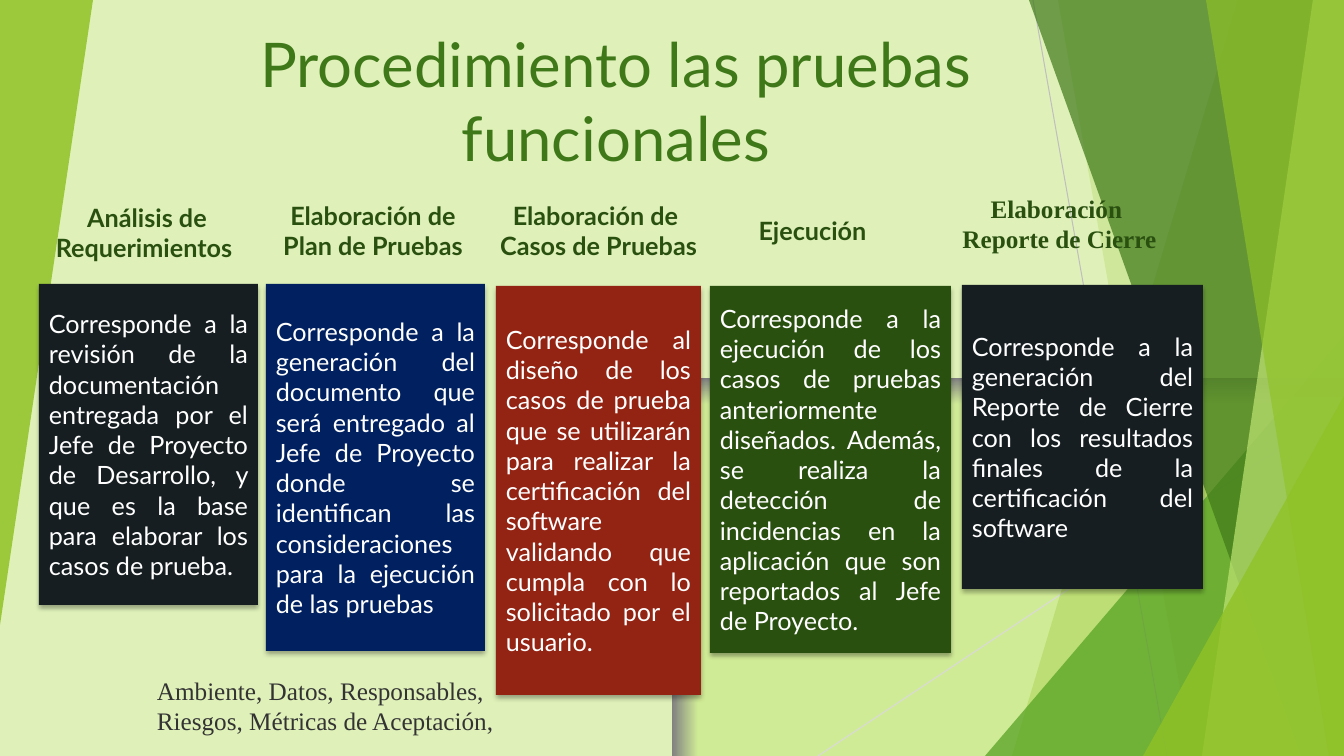
from lxml import etree
from pptx import Presentation
from pptx import util as u
from pptx.dml import color as dml
from pptx.enum import shapes, text
from pptx.oxml import ns

SLIDE_W, SLIDE_H = 1344, 756
EMU_PER_PX = 12192000 / SLIDE_W
LATO, TIMES = "Lato", "Times New Roman"
LIME, LEAF, FOREST, MOSS, MINT = "90C226", "54A021", "3F7819", "2A5010", "C0E474"

CARDS = [
    ((39, 284, 219, 321), "161E22",
     "Corresponde a la revisión de la documentación entregada por el Jefe de Proyecto "
     "de Desarrollo, y que es la base para elaborar los casos de prueba."),
    ((266, 284, 219, 367), "002060",
     "Corresponde a la generación del documento que será entregado al Jefe de Proyecto "
     "donde se identifican las consideraciones para la ejecución de las pruebas"),
    ((496, 286, 205, 409), "932313",
     "Corresponde al diseño de los casos de prueba que se utilizarán para realizar la "
     "certificación del software validando que cumpla con lo solicitado por el usuario."),
    ((710, 286, 241, 367), MOSS,
     "Corresponde a la ejecución de los casos de pruebas anteriormente diseñados. Además, "
     "se realiza la detección de incidencias en la aplicación que son reportados al Jefe "
     "de Proyecto."),
    ((962, 285, 241, 304), "161E22",
     "Corresponde a la generación del Reporte de Cierre con los resultados finales de la "
     "certificación del software"),
]

HEADINGS = [
    ((39, 197, 216, 72), "Análisis de\nRequerimientos ", LATO, False),
    ((267, 195, 212, 72), "Elaboración de\nPlan de Pruebas", LATO, True),
    ((479, 195, 233, 72), "Elaboración de\n Casos de Pruebas", LATO, False),
    ((744, 210, 137, 40), "Ejecución", LATO, False),
    ((951, 188, 217, 72), "Elaboración \nReporte de Cierre", TIMES, False),
]


def px(*lengths):
    return [round(n * EMU_PER_PX) for n in lengths]


def rgb(value):
    return dml.RGBColor.from_string(value)


def add(parent, tag, **attributes):
    child = etree.SubElement(parent, ns.qn(tag))
    for key, value in attributes.items():
        child.set(key, str(value))
    return child


def paint(shape, color, opacity=100):
    shape.shadow.inherit = False
    shape.line.fill.background()
    shape.fill.solid()
    shape.fill.fore_color.rgb = rgb(color)
    if opacity < 100:
        fill = shape._element.spPr.find(ns.qn("a:solidFill"))
        add(fill[0], "a:alpha", val=opacity * 1000)


def write(frame, content, font, size, color, align, bold=False):
    frame.text = content
    for paragraph in frame.paragraphs:
        paragraph.alignment = align
        for run in paragraph.runs:
            run.font.name = font
            run.font.size = u.Pt(size)
            run.font.bold = bold
            run.font.color.rgb = rgb(color)


def label(slide, box, content, font, size, color, align, bold=False, wrap=True):
    frame = slide.shapes.add_textbox(*px(*box)).text_frame
    write(frame, content, font, size, color, align, bold)
    frame.word_wrap = wrap
    frame.auto_size = text.MSO_AUTO_SIZE.SHAPE_TO_FIT_TEXT
    return frame


def backdrop(slide):
    fill = slide.background.fill
    fill.gradient()
    gradient = slide._element.cSld.find(".//" + ns.qn("a:gradFill"))
    for child in list(gradient):
        gradient.remove(child)
    stops = add(gradient, "a:gsLst")
    for position, color in ((93, "D0EB96"), (100, "808080"), (100, "DFF1B9")):
        add(add(stops, "a:gs", pos=position * 1000), "a:srgbClr", val=color)
    path = add(gradient, "a:path", path="rect")
    add(path, "a:fillToRect", l=100000, t=100000)


def ray(slide, ends, color):
    connector = slide.shapes.add_connector(shapes.MSO_CONNECTOR.STRAIGHT, *px(*ends))
    connector.line.color.rgb = rgb(color)
    connector.line.width = u.Pt(0.75)
    add(connector._element.spPr, "a:effectLst")


def blade(slide, box, top_x, bottom_x, color, opacity):
    left, top, width, height = box
    right, bottom = left + width, top + height
    outline = slide.shapes.build_freeform(top_x, top, EMU_PER_PX)
    outline.add_line_segments([(right, top), (right, bottom), (bottom_x, bottom)])
    paint(outline.convert_to_shape(), color, opacity)


def wedge(slide, box, color, opacity, rotation=0):
    triangle = slide.shapes.add_shape(shapes.MSO_SHAPE.ISOSCELES_TRIANGLE, *px(*box))
    triangle.adjustments[0] = 1
    triangle.rotation = rotation
    paint(triangle, color, opacity)


def facets(slide, box):
    left, top, width, height = box
    right, bottom = left + width, top + height
    ray(slide, (1033, top, 1167, bottom), "BFBFBF")
    ray(slide, (right, 406, 818, bottom), "D9D9D9")
    blade(slide, box, 1238, 1012, LIME, 30)
    blade(slide, box, 1058, 1192, LIME, 20)
    wedge(slide, (985, 336, right - 985, bottom - 336), LEAF, 72)
    blade(slide, box, 1029, 1301, FOREST, 70)
    blade(slide, box, 1313, 1202, MINT, 70)
    blade(slide, box, 1206, 1329, LIME, 65)
    wedge(slide, (1143, 396, right - 1143, bottom - 396), LIME, 80)
    wedge(slide, (0, top, 93, 625), LIME, 85, 180)


def card(slide, box, color, content):
    panel = slide.shapes.add_shape(shapes.MSO_SHAPE.RECTANGLE, *px(*box))
    paint(panel, color)
    effects = panel._element.spPr.find(ns.qn("a:effectLst"))
    shadow = add(effects, "a:outerShdw", blurRad=u.Pt(3.5), dist=u.Pt(2.2),
                 dir=5400000, algn="ctr", rotWithShape=0)
    add(add(shadow, "a:srgbClr", val="000000"), "a:alpha", val=32000)
    frame = panel.text_frame
    frame.vertical_anchor = text.MSO_ANCHOR.MIDDLE
    frame.word_wrap = True
    write(frame, content, LATO, 18, "FFFFFF", text.PP_ALIGN.JUSTIFY)


def title(slide, box):
    frame = label(slide, box, "Procedimiento las pruebas funcionales",
                  LATO, 44, FOREST, text.PP_ALIGN.CENTER)
    frame.auto_size = text.MSO_AUTO_SIZE.NONE
    frame.vertical_anchor = text.MSO_ANCHOR.BOTTOM


def main():
    deck = Presentation()
    deck.slide_width, deck.slide_height = px(SLIDE_W, SLIDE_H)
    slide = deck.slides.add_slide(deck.slide_layouts[6])
    backdrop(slide)
    facets(slide, (1012, 0, SLIDE_W - 1012, SLIDE_H))
    title(slide, (202, 0, 828, 179))
    for box, color, content in CARDS:
        card(slide, box, color, content)
    for box, content, font, wrap in HEADINGS:
        label(slide, box, content, font, 18, MOSS, text.PP_ALIGN.CENTER, True, wrap)
    label(slide, (147, 670, 365, 72),
          "Ambiente, Datos, Responsables, Riesgos, Métricas de Aceptación,",
          TIMES, 18, "333333", text.PP_ALIGN.LEFT)
    deck.save("out.pptx")


if __name__ == "__main__":
    main()
